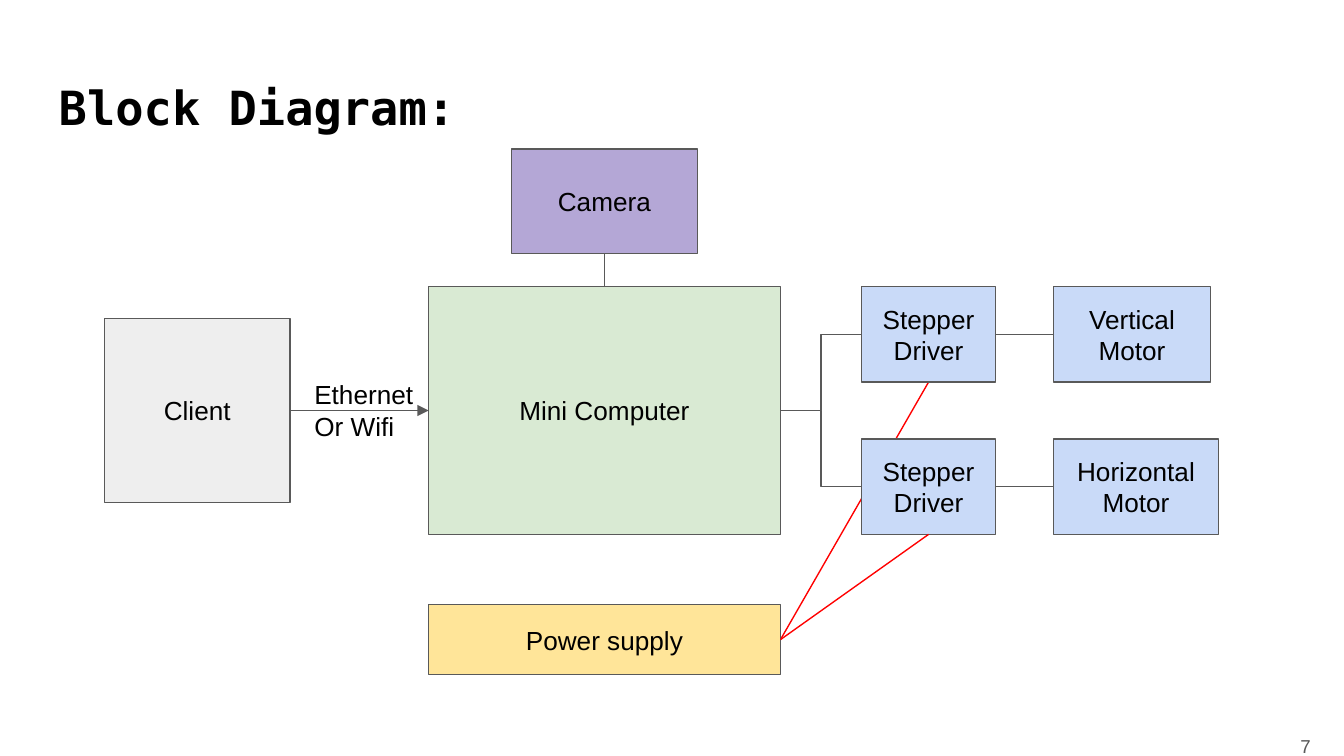
from lxml import etree
from pptx import Presentation
from pptx import util as u
from pptx.dml.color import RGBColor
from pptx.enum import shapes, text
from pptx.oxml.ns import qn

COLORS = {
    "ink": "000000", "line": "595959", "power_line": "FF0000",
    "client": "EEEEEE", "board": "D9EAD3", "motion": "C9DAF8",
    "power": "FFE599", "camera": "B4A7D6",
}
TOP, LEFT, BOTTOM, RIGHT = range(4)  # connection sites of a rectangle
ALIGN, ANCHOR = text.PP_ALIGN, text.MSO_ANCHOR
STRAIGHT, ELBOW = shapes.MSO_CONNECTOR.STRAIGHT, shapes.MSO_CONNECTOR.ELBOW


class Diagram:
    """Holds the style and the current slide."""

    font = {"name": "Arial", "size": u.Pt(14), "bold": False}
    frame = {"word_wrap": True, "auto_size": text.MSO_AUTO_SIZE.NONE}
    frame.update({f"margin_{side}": u.Cm(0.25)
                  for side in ("left", "top", "right", "bottom")})

    def __init__(self, slide):
        self.slide = slide

    def color(self, name):
        return RGBColor.from_string(COLORS[name])

    def set_text(self, sp, lines, align=ALIGN.LEFT, anchor=ANCHOR.TOP,
                 color="ink", **font):
        tf = sp.text_frame
        tf.text = "\n".join(lines)
        for key, value in {**self.frame, "vertical_anchor": anchor}.items():
            setattr(tf, key, value)
        for p in tf.paragraphs:
            p.alignment = align
            for r in p.runs:
                for key, value in {**self.font, **font}.items():
                    setattr(r.font, key, value)
                r.font.color.rgb = self.color(color)

    def title(self, label, at, **font):
        sp = self.slide.shapes.title
        sp.left, sp.top, sp.width, sp.height = map(u.Cm, at)
        self.set_text(sp, [label], **font)

    def label(self, lines, at, **style):
        sp = self.slide.shapes.add_textbox(*map(u.Cm, at))
        self.set_text(sp, lines, **style)

    def box(self, label, at, fill, kind=shapes.MSO_SHAPE.RECTANGLE):
        sp = self.slide.shapes.add_shape(kind, *map(u.Cm, at))
        sp.shadow.inherit = False
        sp.fill.solid()
        sp.fill.fore_color.rgb = self.color(fill)
        sp.line.color.rgb = self.color("line")
        sp.line.width = u.Pt(0.75)
        self.set_text(sp, [label], ALIGN.CENTER, ANCHOR.MIDDLE)
        return sp

    def link(self, start, start_site, end, end_site, kind=STRAIGHT,
             color="line", arrow=False, behind=False):
        line = self.slide.shapes.add_connector(kind, 0, 0, 0, 0)
        line.begin_connect(start, start_site)
        line.end_connect(end, end_site)
        line.line.color.rgb = self.color(color)
        line.line.width = u.Pt(0.75)
        props = line._element.spPr
        etree.SubElement(props, qn("a:effectLst"))
        if arrow:
            etree.SubElement(props.find(qn("a:ln")), qn("a:tailEnd"),
                             type="triangle")
        if behind:
            self.slide.shapes._spTree.insert(2, line._element)


def main():
    prs = Presentation()
    prs.slide_width, prs.slide_height = u.Cm(25.4), u.Cm(14.29)
    d = Diagram(prs.slides.add_slide(prs.slide_layouts[5]))

    # Title and page number
    d.title("Block Diagram:", (0.86, 1.24, 23.67, 1.6),
            name="DejaVu Sans Mono", size=u.Pt(25.2), bold=True)
    d.label(["7"], (23.5, 13.56, 1.52, 1.09), align=ALIGN.RIGHT,
            anchor=ANCHOR.MIDDLE, color="line", size=u.Pt(10))

    # Main blocks
    board = d.box("Mini Computer", (8.1, 5.42, 6.65, 4.68), "board")
    client = d.box("Client", (1.98, 6.02, 3.5, 3.48), "client")
    power = d.box("Power supply", (8.1, 11.43, 6.65, 1.32), "power")
    camera = d.box("Camera", (9.67, 2.82, 3.51, 1.97), "camera",
                   shapes.MSO_SHAPE.FLOWCHART_PROCESS)

    # Links of the main blocks
    d.link(client, RIGHT, board, LEFT, arrow=True)
    d.label(["Ethernet", "Or Wifi"], (5.69, 6.91, 2.97, 1.7))
    d.link(board, TOP, camera, BOTTOM)

    # One driver and motor per axis; the upper power line runs behind
    axes = [("Vertical Motor", 5.42, 2.97, True),
            ("Horizontal Motor", 8.3, 3.12, False)]
    for name, top, width, behind in axes:
        driver = d.box("Stepper Driver", (16.28, top, 2.54, 1.8), "motion")
        motor = d.box(name, (19.91, top, width, 1.8), "motion")
        d.link(board, RIGHT, driver, LEFT, kind=ELBOW)
        d.link(driver, RIGHT, motor, LEFT)
        d.link(power, RIGHT, driver, BOTTOM, color="power_line", behind=behind)

    prs.save("out.pptx")


if __name__ == "__main__":
    main()
